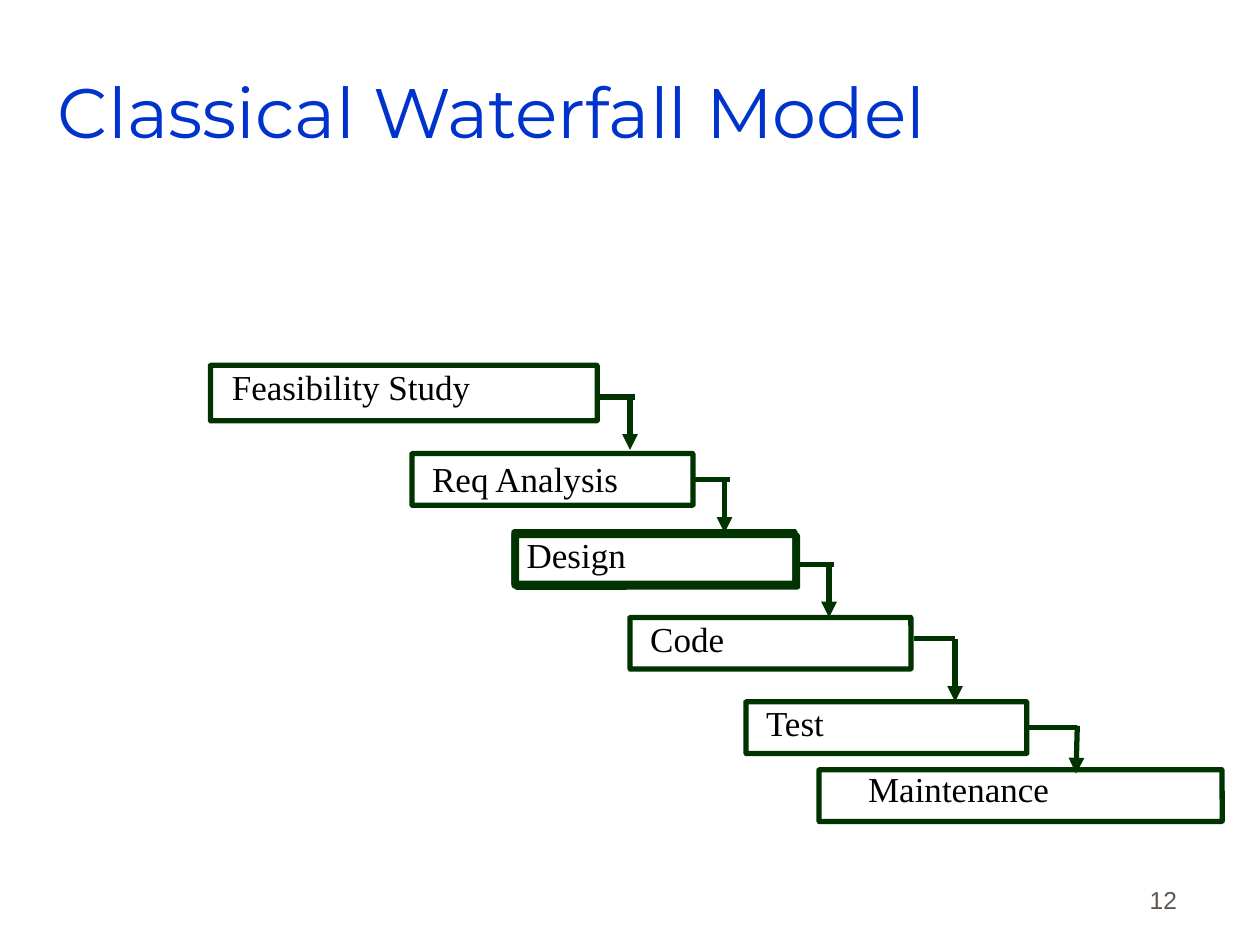
from dataclasses import dataclass

from lxml import etree
from pptx import Presentation
from pptx.dml.color import RGBColor
from pptx.enum.shapes import MSO_CONNECTOR, MSO_SHAPE
from pptx.enum.text import MSO_ANCHOR, PP_ALIGN
from pptx.oxml.ns import qn
from pptx.util import Inches, Pt

STRAIGHT = MSO_CONNECTOR.STRAIGHT
ROUNDED = MSO_SHAPE.ROUNDED_RECTANGLE
TOP, MIDDLE, BOTTOM = MSO_ANCHOR.TOP, MSO_ANCHOR.MIDDLE, MSO_ANCHOR.BOTTOM
LEFT, RIGHT = PP_ALIGN.LEFT, PP_ALIGN.RIGHT
RIGHT_SIDE = 3


@dataclass(frozen=True)
class Theme:
    title: tuple = ("Montserrat", 40, "0033CC")
    label: tuple = ("Times New Roman", 20, "000000")
    number: tuple = ("Arial", 14, "5E574E")
    line: str = "003300"
    line_width: float = 3
    corner: float = 0.004
    label_spacing: float = 0.85


THEME = Theme()
TITLE = ("Classical Waterfall Model", (0.44, 0.25, 8.5, 1.25))
PAGE_NUMBER = ("12", (7.36, 6.81, 2.08, 0.5))
NARROW_INSET = 0.02
DEFAULT_INSET = 0.1

STAGES = [
    ("Feasibility Study", (1.82, 2.9), [(1.67, 2.9, 3.07, 0.44)]),
    ("Req Analysis", (3.41, 3.63), [(3.27, 3.6, 2.23, 0.41)]),
    ("Design", (4.16, 4.24), [(4.1, 4.25, 2.23, 0.41),
                              (4.08, 4.24, 2.23, 0.41),
                              (4.08, 4.22, 2.23, 0.41)]),
    ("Code", (5.14, 4.9), [(5, 4.9, 2.23, 0.41)]),
    ("Test", (6.06, 5.57), [(5.92, 5.57, 2.23, 0.41)]),
    ("Maintenance", (6.87, 6.09), [(6.5, 6.11, 3.2, 0.41)]),
]
LABEL_SIZE = (2.33, 0.43)

STEPS = [
    {"stub": (4.75, 5.04), "y": 3.15, "drop": (5, 5), "end": 3.57},
    {"stub": (5.5, 5.79), "y": 3.82, "drop": (5.75, 5.75), "end": 4.23, "joined": True},
    {"stub": (6.33, 6.62), "y": 4.48, "drop": (6.58, 6.58), "end": 4.9},
    {"stub": (7.25, 7.58), "y": 5.07, "drop": (7.58, 7.58), "end": 5.57},
    {"stub": (8.15, 8.55), "y": 5.76, "drop": (8.55, 8.54), "end": 6.14, "joined": True},
]


def add_text(slide, text, area, style, inset, anchor=TOP, align=LEFT, spacing=None):
    frame = slide.shapes.add_textbox(*map(Inches, area)).text_frame
    frame.word_wrap = True
    frame.vertical_anchor = anchor
    frame.margin_left = frame.margin_right = Inches(inset)
    frame.margin_top = frame.margin_bottom = Inches(0.05)
    paragraph = frame.paragraphs[0]
    paragraph.alignment = align
    if spacing:
        paragraph.line_spacing = spacing
    run = paragraph.add_run()
    run.text = text
    name, size, color = style
    run.font.name = name
    run.font.size = Pt(size)
    run.font.color.rgb = RGBColor.from_string(color)


def style_line(line):
    line.color.rgb = RGBColor.from_string(THEME.line)
    line.width = Pt(THEME.line_width)


def add_box(slide, area):
    shape = slide.shapes.add_shape(ROUNDED, *map(Inches, area))
    shape.adjustments[0] = THEME.corner
    shape.shadow.inherit = False
    shape.fill.background()
    style_line(shape.line)
    return shape


def add_line(slide, start, end, arrow=False):
    connector = slide.shapes.add_connector(STRAIGHT, *map(Inches, start + end))
    style_line(connector.line)
    if arrow:
        outline = connector.line._get_or_add_ln()
        etree.SubElement(outline, qn("a:tailEnd"), type="triangle")
    etree.SubElement(connector._element.spPr, qn("a:effectLst"))
    return connector


def main():
    presentation = Presentation()
    presentation.slide_width = Inches(10)
    presentation.slide_height = Inches(7.5)
    slide = presentation.slides.add_slide(presentation.slide_layouts[6])

    add_text(slide, *PAGE_NUMBER, THEME.number, DEFAULT_INSET, BOTTOM, RIGHT)
    add_text(slide, *TITLE, THEME.title, NARROW_INSET, MIDDLE)

    boxes = []
    for label, corner, outlines in STAGES:
        boxes.append([add_box(slide, area) for area in outlines][-1])
        add_text(slide, label, corner + LABEL_SIZE, THEME.label, NARROW_INSET,
                 spacing=THEME.label_spacing)

    for box, step in zip(boxes, STEPS):
        stub_start, stub_end = step["stub"]
        drop_start, drop_end = step["drop"]
        y = step["y"]
        stub = add_line(slide, (stub_start, y), (stub_end, y))
        if step.get("joined"):
            stub.begin_connect(box, RIGHT_SIDE)
            stub.end_y = stub.begin_y
        add_line(slide, (drop_start, y), (drop_end, step["end"]), arrow=True)

    presentation.save("out.pptx")


if __name__ == "__main__":
    main()
